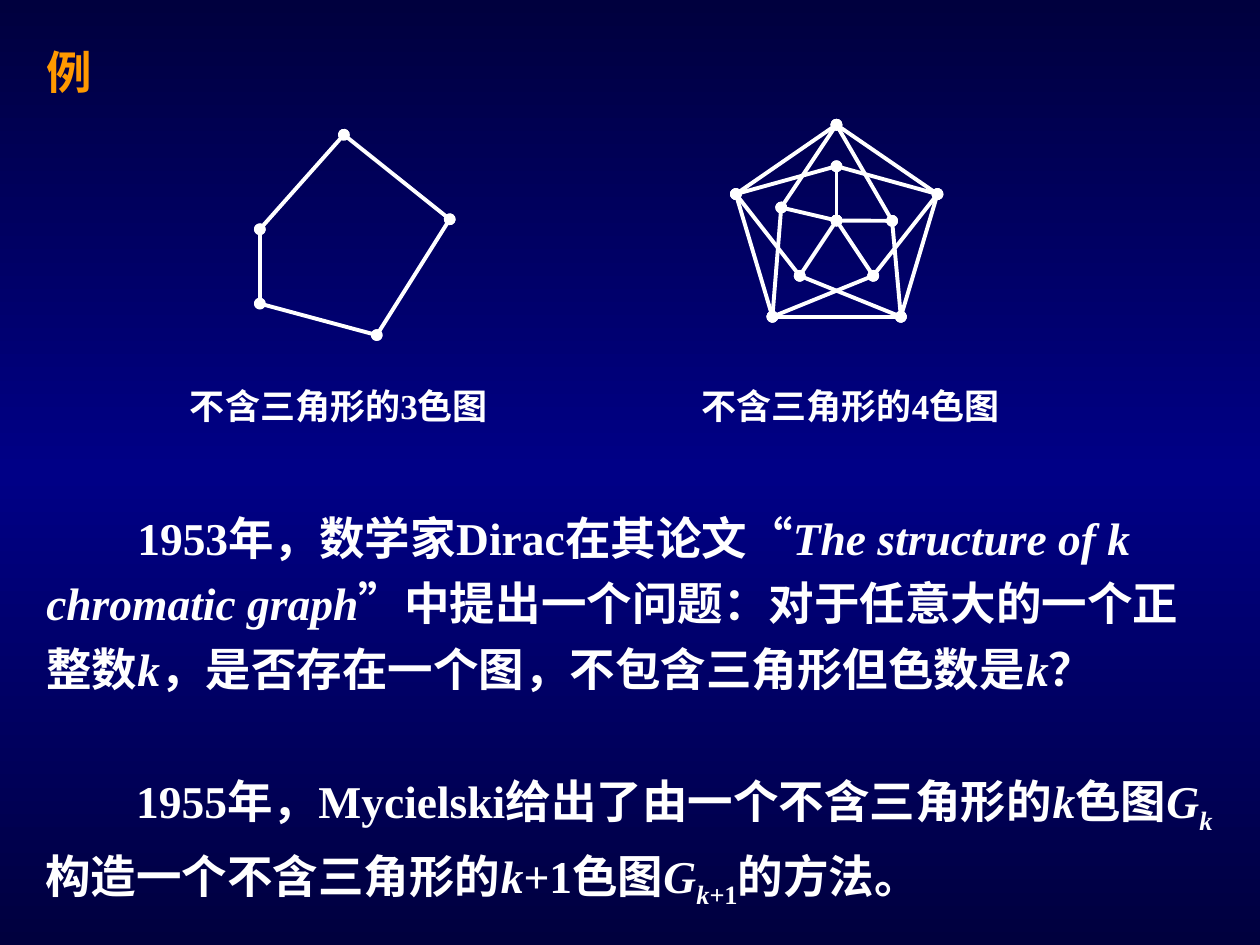
from copy import deepcopy

from lxml import etree
from pptx import Presentation
from pptx import util as u
from pptx.dml.color import RGBColor
from pptx.enum import shapes, text
from pptx.oxml import ns

COLORS = {"edge": "00003E", "middle": "000086", "white": "FFFFFF", "orange": "FF9900"}
GRADIENT = [(0, "edge"), (50, "middle"), (100, "edge")]
FONT = {"name": "Times New Roman", "bold": True}
FRAME = {
    "word_wrap": True,
    "auto_size": text.MSO_AUTO_SIZE.NONE,
    "vertical_anchor": text.MSO_ANCHOR.TOP,
    "margin_left": u.Pt(7.2),
    "margin_right": u.Pt(7.2),
    "margin_top": u.Pt(3.6),
    "margin_bottom": u.Pt(3.6),
}
CAPTION_FORMAT = {"alignment": text.PP_ALIGN.LEFT}
BODY_FORMAT = {"alignment": text.PP_ALIGN.LEFT, "line_spacing": 1.2}
BODY_INDENT = 52

TITLE = ("例", (19.4, 21.6, 45.4, 38.9))
GRAPHS = [
    {
        "caption": "不含三角形的3色图",
        "box": (101.5, 216, 201.6, 31.7),
        "outer": [(196.5, 77), (257, 125.3), (215.3, 191.5), (148.5, 173.5), (148.5, 131)],
    },
    {
        "caption": "不含三角形的4色图",
        "box": (393.8, 216, 193, 55.4),
        "outer": [(478, 71.3), (535.7, 110.9), (514.8, 181), (441.4, 181), (420.5, 110.9)],
        "inner": [(478, 95), (509.8, 126.2), (499, 157.6), (457, 157.6), (446.4, 118.6)],
        "center": (478, 126),
    },
]
BODIES = [
    ((19.4, 281.5, 686.2, 119.5), [
        ("1953年，数学家Dirac在其论文“", ""),
        ("The structure of k chromatic graph", "italic"),
        ("”中提出一个问题：对于任意大的一个正整数", ""),
        ("k", "italic"),
        ("，是否存在一个图，不包含三角形但色数是", ""),
        ("k", "italic"),
        ("？", ""),
    ]),
    ((18.7, 431.3, 687.6, 87.1), [
        ("1955年，Mycielski给出了由一个不含三角形的", ""),
        ("k", "italic"),
        ("色图", ""),
        ("G", "italic"),
        ("k", "italic sub"),
        ("构造一个不含三角形的", ""),
        ("k", "italic"),
        ("+1色图", ""),
        ("G", "italic"),
        ("k", "italic sub"),
        ("+1", "sub"),
        ("的方法。", ""),
    ]),
]


def apply(target, values):
    for name, value in values.items():
        setattr(target, name, value)


def points(values):
    return [u.Pt(value) for value in values]


def write(shape, runs, size, color, paragraph_format, indent=0):
    frame = shape.text_frame
    apply(frame, FRAME)
    paragraph = frame.paragraphs[0]
    apply(paragraph, paragraph_format)
    if indent:
        paragraph._p.get_or_add_pPr().set("indent", str(u.Pt(indent)))
    for wording, style in runs:
        run = paragraph.add_run()
        run.text = wording
        apply(run.font, {**FONT, "size": u.Pt(size), "italic": "italic" in style})
        run.font.color.rgb = RGBColor.from_string(COLORS[color])
        if "sub" in style:
            run._r.get_or_add_rPr().set("baseline", "-25000")


def graph_edges(graph):
    outer, inner = graph["outer"], graph.get("inner", [])
    count = len(outer)
    edges = [(outer[i], outer[(i + 1) % count]) for i in range(count)]
    for i, vertex in enumerate(inner):
        edges += [(vertex, outer[i - 1]), (vertex, outer[(i + 1) % count]),
                  (vertex, graph["center"])]
    return edges


def add_edge(group, start, end):
    edge = group.shapes.add_connector(
        shapes.MSO_CONNECTOR.STRAIGHT, *points(start + end))
    edge.line.width = u.Pt(2.25)
    edge.line.color.rgb = RGBColor.from_string(COLORS["white"])
    line = edge.line._get_or_add_ln()
    for tag in ("a:headEnd", "a:tailEnd"):
        etree.SubElement(line, ns.qn(tag), type="oval")
    etree.SubElement(edge._element.spPr, ns.qn("a:effectLst"))


def paint_background(slide):
    fill = slide.background.fill
    fill.gradient()
    fill.gradient_angle = 270
    stops = fill.gradient_stops[0]._gs.getparent()
    stops.insert(1, deepcopy(stops[0]))
    for stop, (position, color) in zip(fill.gradient_stops, GRADIENT):
        stop.position = position / 100
        stop.color.rgb = RGBColor.from_string(COLORS[color])


def main():
    presentation = Presentation()
    presentation.slide_width, presentation.slide_height = points((720, 540))
    slide = presentation.slides.add_slide(presentation.slide_layouts[5])
    paint_background(slide)

    wording, box = TITLE
    title = slide.shapes.title
    apply(title, dict(zip(("left", "top", "width", "height"), points(box))))
    write(title, [(wording, "")], 26, "orange", CAPTION_FORMAT)

    for graph in GRAPHS:
        group = slide.shapes.add_group_shape()
        for start, end in graph_edges(graph):
            add_edge(group, start, end)
        caption = group.shapes.add_textbox(*points(graph["box"]))
        write(caption, [(graph["caption"], "")], 20, "white", CAPTION_FORMAT)

    for box, runs in BODIES:
        body = slide.shapes.add_textbox(*points(box))
        write(body, runs, 26, "white", BODY_FORMAT, BODY_INDENT)

    presentation.save("out.pptx")


if __name__ == "__main__":
    main()
